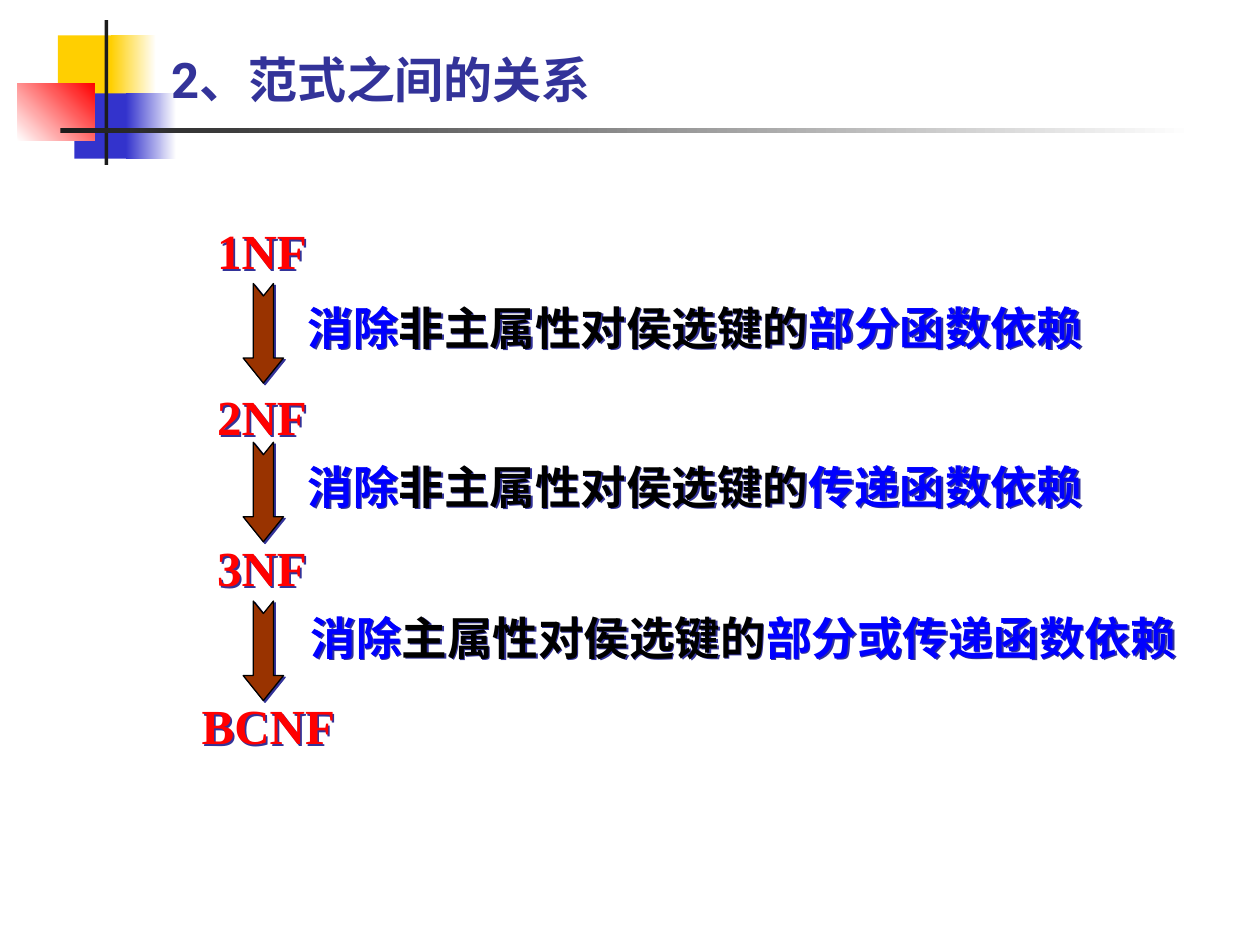
"""Build the slide on how the normal forms relate."""
from dataclasses import dataclass

from lxml import etree
from pptx import Presentation
from pptx import util as u
from pptx.dml import color
from pptx.enum import shapes, text
from pptx.oxml import ns


@dataclass(frozen=True)
class Theme:
    """Colours, fonts and type sizes."""
    gold: str = "FFCF01"
    navy: str = "3333CC"
    red: str = "FF0000"
    white: str = "FFFFFF"
    dark: str = "1C1C1C"
    shade: str = "333399"
    blue: str = "0000FF"
    black: str = "000000"
    rust: str = "993300"
    head: str = "Roboto"
    body: str = "Comic Neue"
    serif: str = "Times New Roman"
    big: int = 28
    mid: int = 26


T = Theme()


def rgb(code):
    """Turn a hex code into a colour."""
    return color.RGBColor.from_string(code)


def apply(item, **form):
    """Set each format value on an item."""
    for name, value in form.items():
        setattr(item, name, value)


def cast(props, code):
    """Add a short hard shadow to shape or run properties."""
    old = props.find(ns.qn("a:effectLst"))
    if old is not None:
        props.remove(old)
    list_ = etree.Element(ns.qn("a:effectLst"))
    drop = etree.SubElement(list_, ns.qn("a:outerShdw"), dist="17780",
                            dir="2700000", algn="ctr", rotWithShape="0")
    etree.SubElement(drop, ns.qn("a:srgbClr"), val=code)
    fill = props.find(ns.qn("a:solidFill"))
    if props.tag == ns.qn("a:rPr") and fill is not None:
        fill.addnext(list_)
    else:
        props.append(list_)


def block(slide, box, tones, angle=0):
    """Draw a borderless rectangle in one tone or a two-tone blend."""
    item = slide.shapes.add_shape(shapes.MSO_SHAPE.RECTANGLE, *map(u.Inches, box))
    item.shadow.inherit = False
    item.line.fill.background()
    if len(tones) == 1:
        item.fill.solid()
        item.fill.fore_color.rgb = rgb(tones[0])
        return
    item.fill.gradient()
    item.fill.gradient_angle = angle
    for stop, tone in zip(item.fill.gradient_stops, tones):
        stop.color.rgb = rgb(tone)


def write(slide, box, parts, font, size, **form):
    """Add a text box of bold coloured parts and return it."""
    item = slide.shapes.add_textbox(*map(u.Inches, box))
    frame = item.text_frame
    apply(frame, word_wrap=True, **form)
    para = frame.paragraphs[0]
    for words, tone in parts:
        run = para.add_run()
        run.text = words
        apply(run.font, name=font, size=u.Pt(size), bold=True)
        run.font.color.rgb = rgb(tone)
    return item


def title(slide, words):
    """Add the slide title with shadowed letters."""
    item = write(slide, (1.26, 0.23, 8.52, 0.68), [(words, T.shade)], T.head, T.big,
                 vertical_anchor=text.MSO_ANCHOR.BOTTOM)
    for run in item.text_frame.paragraphs[0].runs:
        cast(run.font._element, T.black)


def label(slide, box, parts, font, size):
    """Add centred text with a violet shadow."""
    item = write(slide, box, parts, font, size,
                 auto_size=text.MSO_AUTO_SIZE.SHAPE_TO_FIT_TEXT)
    item.text_frame.paragraphs[0].alignment = text.PP_ALIGN.CENTER
    cast(item._element.spPr, T.shade)


def arrow(slide, top):
    """Draw a notched arrow that points down from the given top."""
    long, wide, mid = 0.79, 0.32, 2.09
    box = (mid - long / 2, top + (long - wide) / 2, long, wide)
    item = slide.shapes.add_shape(shapes.MSO_SHAPE.NOTCHED_RIGHT_ARROW,
                                  *map(u.Inches, box))
    item.rotation = 90
    item.adjustments[0], item.adjustments[1] = 0.5, 0.62
    item.fill.solid()
    item.fill.fore_color.rgb = rgb(T.rust)
    item.line.color.rgb = rgb(T.black)
    item.line.width = u.Pt(0.75)
    cast(item._element.spPr, T.shade)


def decor(slide):
    """Draw the coloured squares and rules around the title."""
    block(slide, (0.46, 0.28, 0.48, 0.52), [T.gold])
    block(slide, (0.88, 0.28, 0.36, 0.52), [T.gold, T.white])
    block(slide, (0.59, 0.74, 0.46, 0.52), [T.navy])
    block(slide, (1, 0.74, 0.4, 0.52), [T.navy, T.white])
    block(slide, (0.14, 0.66, 0.61, 0.46), [T.white, T.red], 45)
    block(slide, (0.83, 0.16, 0.03, 1.15), [T.dark])
    block(slide, (0.48, 1.02, 9, 0.04), [T.dark, T.white])


def main():
    """Build and save the slide."""
    deck = Presentation()
    apply(deck, slide_width=u.Inches(10), slide_height=u.Inches(7.5))
    slide = deck.slides.add_slide(deck.slide_layouts[6])
    decor(slide)
    title(slide, "2、范式之间的关系")
    forms = [("1NF", 1.53, 1.7, 1.1), ("2NF", 1.53, 3.02, 1.1),
             ("3NF", 1.53, 4.22, 1.1), ("BCNF", 1.38, 5.47, 1.5)]
    for name, left, top, wide in forms:
        label(slide, (left, top, wide, 0.57), [(name, T.red)], T.serif, T.big)
    steps = [(2.09, 2.33, 6.85, "非主属性对侯选键的", "部分函数依赖"),
             (2.09, 3.59, 6.85, "非主属性对侯选键的", "传递函数依赖"),
             (2.24, 4.79, 7.32, "主属性对侯选键的", "部分或传递函数依赖")]
    for row, (left, top, wide, who, what) in enumerate(steps):
        arrow(slide, 2.25 + 1.26 * row)
        parts = [("消除", T.blue), (who, T.black), (what, T.blue)]
        label(slide, (left, top, wide, 0.54), parts, T.body, T.mid)
    deck.save("out.pptx")


if __name__ == "__main__":
    main()
